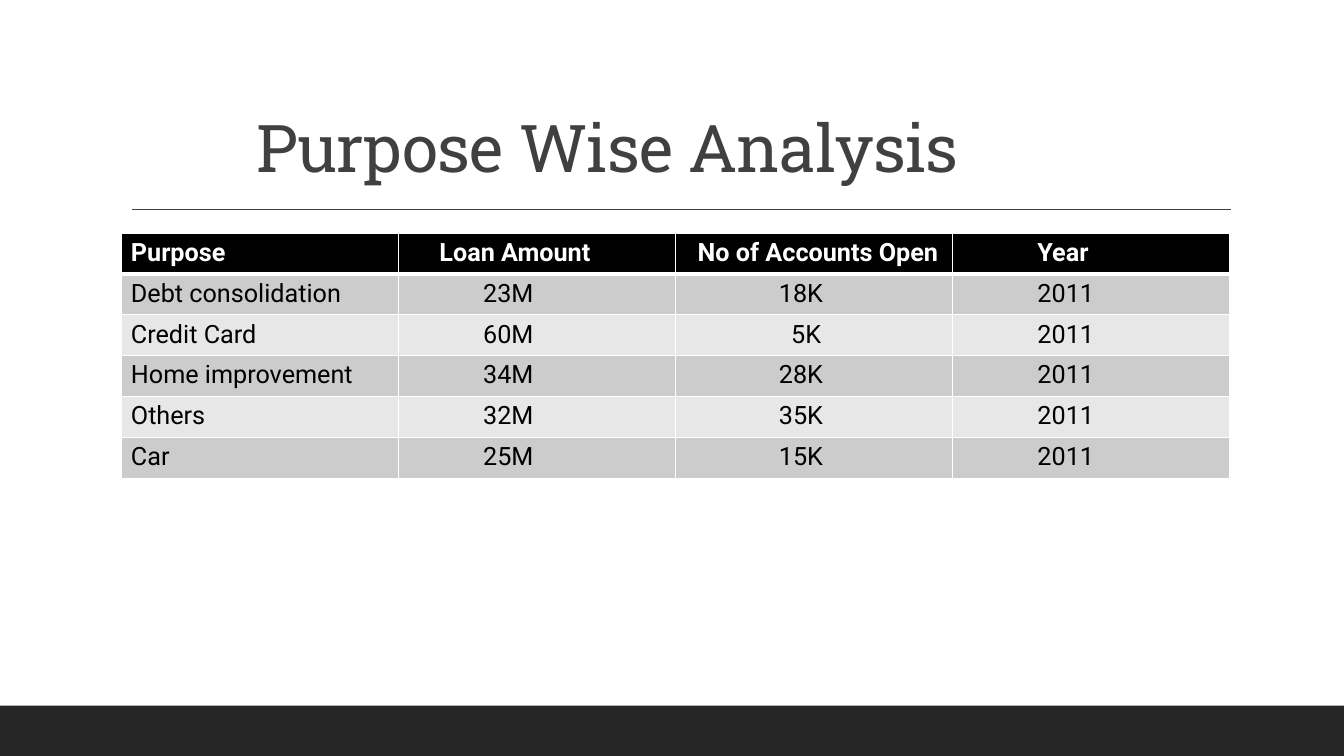
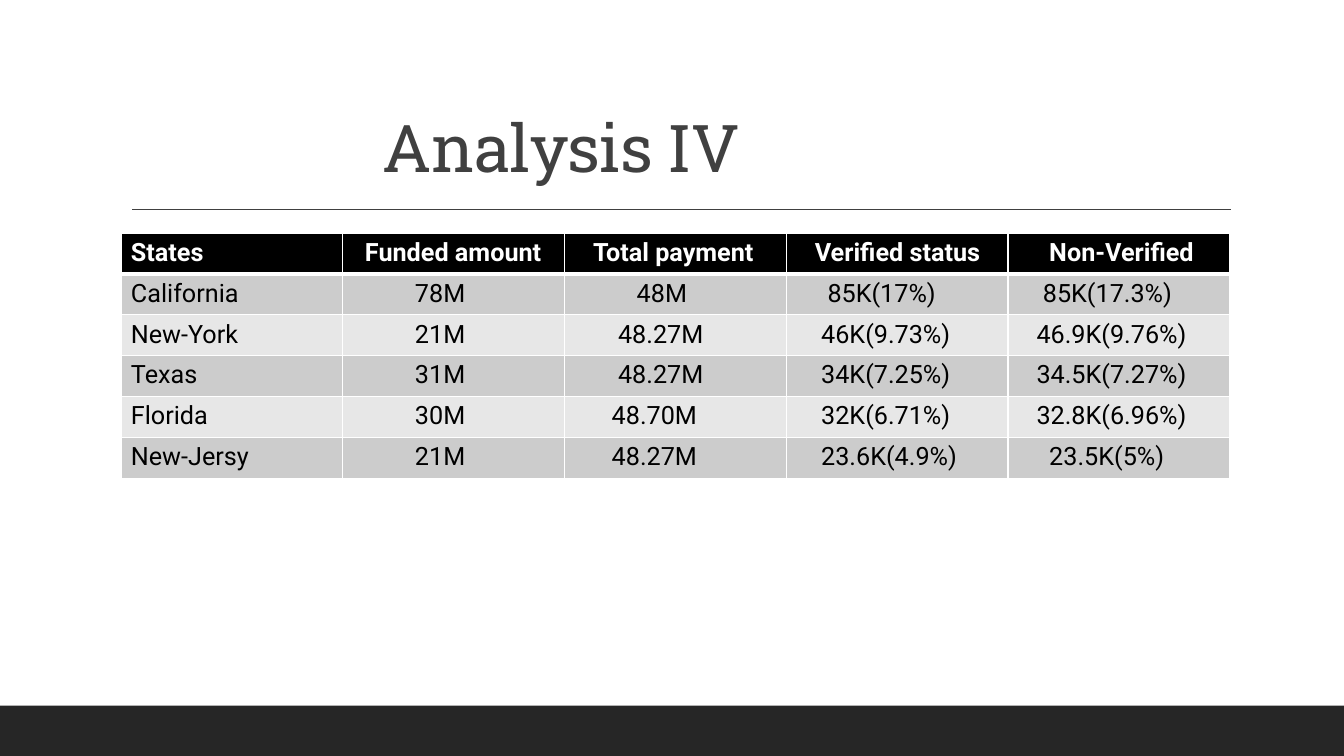
from lxml import etree
from pptx import Presentation
from pptx.dml.color import RGBColor
from pptx.enum.shapes import MSO_CONNECTOR, MSO_SHAPE
from pptx.enum.text import MSO_ANCHOR
from pptx.oxml.ns import qn
from pptx.util import Cm, Pt

RECTANGLE = MSO_SHAPE.RECTANGLE
STRAIGHT = MSO_CONNECTOR.STRAIGHT
BOTTOM = MSO_ANCHOR.BOTTOM

WHITE = RGBColor(0xFF, 0xFF, 0xFF)
BLACK = RGBColor(0x00, 0x00, 0x00)
BAND = RGBColor(0x26, 0x26, 0x26)
TITLE = RGBColor(0x40, 0x40, 0x40)
ROW_FILLS = (RGBColor(0xCC, 0xCC, 0xCC), RGBColor(0xE7, 0xE7, 0xE7))

SLIDE_WIDTH, SLIDE_HEIGHT = Cm(33.87), Cm(19.05)
BAND_HEIGHT = Cm(1.27)
CONTENT_LEFT, CONTENT_WIDTH = Cm(3.05), Cm(27.94)
TITLE_TOP, TITLE_HEIGHT = Cm(0.79), Cm(4.04)
RULE_LEFT, RULE_RIGHT, RULE_TOP = Cm(3.33), Cm(31.01), Cm(5.28)
TABLE_TOP, ROW_HEIGHT = Cm(5.87), Cm(1.03)
TEXT_MARGIN = Cm(0.25)
THIN, THICK = Pt(1), Pt(3)

TITLE_FONT = {"name": "Roboto Slab", "size": Pt(47)}
HEADER_FONT = {"name": "Roboto", "size": Pt(18), "bold": True}
BODY_FONT = HEADER_FONT | {"bold": False}

# Each column: its texts from the header down, and their indents in cm.
PURPOSE_COLUMNS = [
    (["Purpose", "Debt consolidation", "Credit Card", "Home improvement", "Others", "Car"],
     [0] * 6),
    (["Loan Amount", "23M", "60M", "34M", "32M", "25M"],
     [0.79] + [1.89] * 5),
    (["No of Accounts Open", "18K", "5K", "28K", "35K", "15K"],
     [0.31, 2.36, 2.67, 2.36, 2.36, 2.36]),
    (["Year"] + ["2011"] * 5,
     [1.89] * 6),
]
STATE_COLUMNS = [
    (["States", "California", "New-York", "Texas", "Florida", "New-Jersy"],
     [0] * 6),
    (["Funded amount", "78M", "21M", "31M", "30M", "21M"],
     [0.31] + [1.57] * 5),
    (["Total payment", "48M", "48.27M", "48.27M", "48.70M", "48.27M"],
     [0.47, 1.57, 1.1, 1.1, 0.94, 0.94]),
    (["Verified status", "85K(17%)", "46K(9.73%)", "34K(7.25%)", "32K(6.71%)", "23.6K(4.9%)"],
     [0.47, 0.79] + [0.63] * 4),
    (["Non-Verified", "85K(17.3%)", "46.9K(9.76%)", "34.5K(7.27%)", "32.8K(6.96%)", "23.5K(5%)"],
     [0.79, 0.63, 0.47, 0.47, 0.47, 0.79]),
]


def write_text(paragraph, text, font_values, color):
    run = paragraph.add_run()
    run.text = text
    for name, value in font_values.items():
        setattr(run.font, name, value)
    run.font.color.rgb = color
    return run


def add_band(slide):
    band = slide.shapes.add_shape(
        RECTANGLE, 0, SLIDE_HEIGHT - BAND_HEIGHT, SLIDE_WIDTH, BAND_HEIGHT)
    band.shadow.inherit = False
    band.fill.solid()
    band.fill.fore_color.rgb = BAND
    band.line.fill.background()


def add_rule(slide):
    rule = slide.shapes.add_connector(STRAIGHT, RULE_LEFT, RULE_TOP, RULE_RIGHT, RULE_TOP)
    rule.line.color.rgb = TITLE
    rule.line.width = THIN
    etree.SubElement(rule._element.spPr, qn("a:effectLst"))


def add_title(slide, text, indent):
    box = slide.shapes.add_textbox(CONTENT_LEFT, TITLE_TOP, CONTENT_WIDTH, TITLE_HEIGHT)
    frame = box.text_frame
    frame.word_wrap = True
    frame.vertical_anchor = BOTTOM
    frame.margin_left = TEXT_MARGIN + Cm(indent)
    paragraph = frame.paragraphs[0]
    paragraph.line_spacing = 0.9
    run = write_text(paragraph, text, TITLE_FONT, TITLE)
    run.font._element.set("spc", "-50")


def set_borders(cell, widths):
    """Draw white borders; widths maps the sides L, R, T, B, in that order."""
    properties = cell._tc.get_or_add_tcPr()
    for side, width in widths.items():
        line = etree.SubElement(properties, qn(f"a:ln{side}"), w=str(width))
        fill = etree.SubElement(line, qn("a:solidFill"))
        etree.SubElement(fill, qn("a:srgbClr"), val=str(WHITE))


def format_cell(cell, text, indent, row):
    is_header = row == 0
    set_borders(cell, {"L": THIN, "R": THIN,
                       "T": THICK if row == 1 else THIN,
                       "B": THICK if is_header else THIN})
    cell.fill.solid()
    cell.fill.fore_color.rgb = BLACK if is_header else ROW_FILLS[(row - 1) % 2]
    cell.margin_left = TEXT_MARGIN + Cm(indent)
    write_text(cell.text_frame.paragraphs[0], text,
               HEADER_FONT if is_header else BODY_FONT,
               WHITE if is_header else BLACK)


def add_data_table(slide, columns):
    row_count = len(columns[0][0])
    table = slide.shapes.add_table(
        row_count, len(columns), CONTENT_LEFT, TABLE_TOP,
        CONTENT_WIDTH, ROW_HEIGHT * row_count).table
    for column, (texts, indents) in enumerate(columns):
        for row, (text, indent) in enumerate(zip(texts, indents)):
            format_cell(table.cell(row, column), text, indent, row)


def add_analysis_slide(presentation, title, title_indent, columns):
    slide = presentation.slides.add_slide(presentation.slide_layouts[6])
    add_band(slide)
    add_rule(slide)
    add_title(slide, title, title_indent)
    add_data_table(slide, columns)


def main():
    presentation = Presentation()
    presentation.slide_width = SLIDE_WIDTH
    presentation.slide_height = SLIDE_HEIGHT
    add_analysis_slide(presentation, "Purpose Wise Analysis", 3.17, PURPOSE_COLUMNS)
    add_analysis_slide(presentation, "Analysis IV", 6.35, STATE_COLUMNS)
    presentation.save("out.pptx")


if __name__ == "__main__":
    main()
